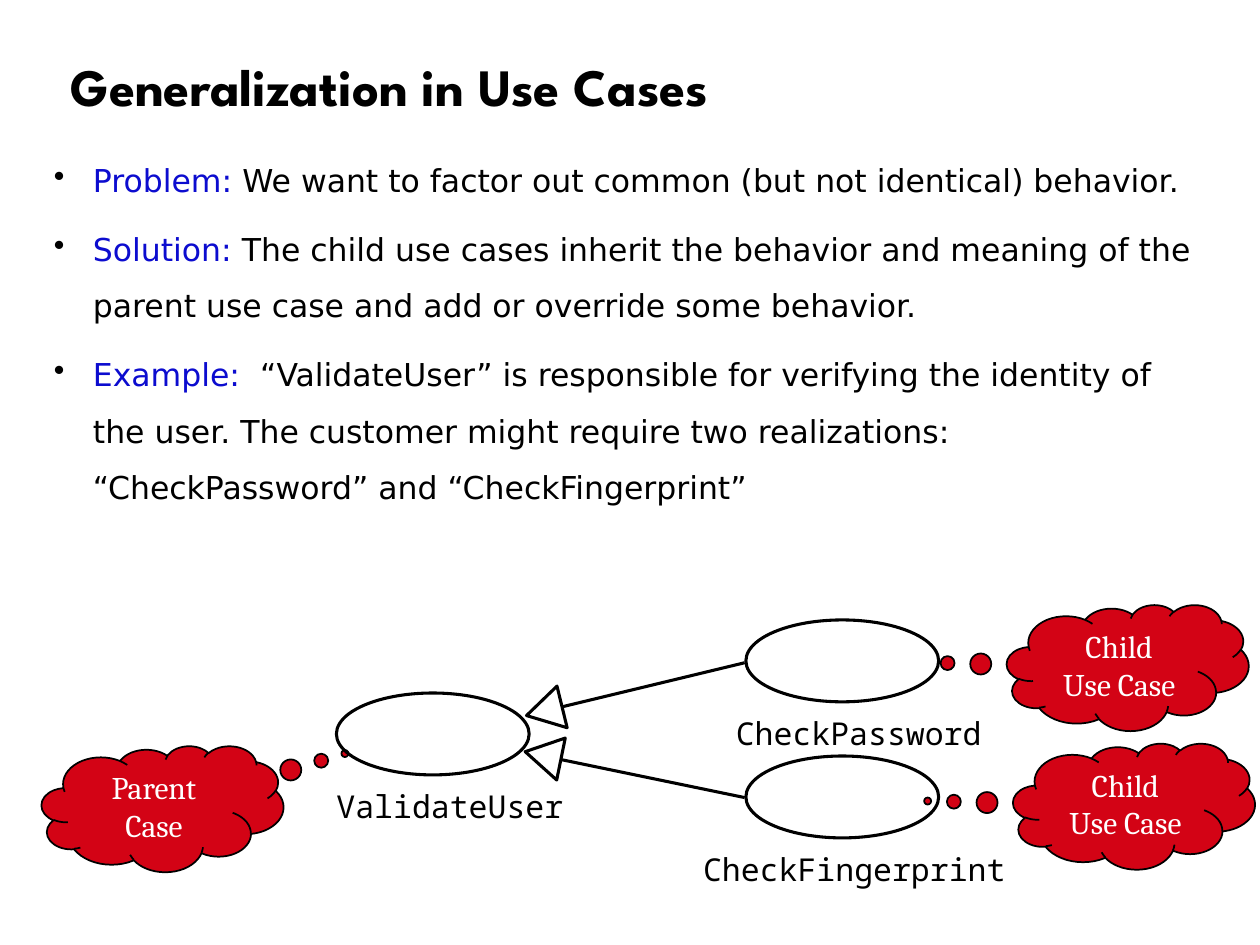
from lxml import etree
from pptx import Presentation
from pptx.dml.color import RGBColor
from pptx.enum.shapes import MSO_CONNECTOR, MSO_SHAPE
from pptx.enum.text import MSO_ANCHOR, MSO_AUTO_SIZE, PP_ALIGN
from pptx.oxml.ns import qn
from pptx.util import Inches, Pt

ELLIPSE, TRIANGLE, CLOUD = MSO_SHAPE.OVAL, MSO_SHAPE.ISOSCELES_TRIANGLE, MSO_SHAPE.CLOUD_CALLOUT
STRAIGHT = MSO_CONNECTOR.STRAIGHT
MIDDLE = MSO_ANCHOR.MIDDLE
LEFT, CENTER = PP_ALIGN.LEFT, PP_ALIGN.CENTER
NO_AUTOFIT = MSO_AUTO_SIZE.NONE

BLACK, WHITE, BLUE, RED = "000000", "FFFFFF", "0C0CCF", "D30315"
TITLE = {"name": "League Spartan", "size": Pt(30), "bold": True}
BODY = {"name": "DejaVu Sans", "size": Pt(18)}
LABEL = {"name": "Noto Sans Mono", "size": Pt(18)}
CALLOUT = {"name": "Cambria", "size": Pt(18)}


def add_run(paragraph, text, color, font_format):
    run = paragraph.add_run()
    run.text = text
    run.font.color.rgb = RGBColor.from_string(color)
    for name, value in font_format.items():
        setattr(run.font, name, value)


def add_outlined_shape(kind, left, top, width, height, fill, line_width):
    """Add a black-outlined shape; fill is a hex string or None for no fill."""
    shape = slide.shapes.add_shape(kind, Inches(left), Inches(top), Inches(width), Inches(height))
    shape.shadow.inherit = False
    if fill:
        shape.fill.solid()
        shape.fill.fore_color.rgb = RGBColor.from_string(fill)
    else:
        shape.fill.background()
    shape.line.color.rgb = RGBColor.from_string(BLACK)
    shape.line.width = Pt(line_width)
    return shape


presentation = Presentation()
presentation.slide_width = Inches(10)
presentation.slide_height = Inches(7.5)
slide = presentation.slides.add_slide(presentation.slide_layouts[5])

# Title
title = slide.shapes.title
title.left, title.top, title.width, title.height = map(Inches, (0.46, 0.24, 8.92, 0.94))
title.text_frame.auto_size = NO_AUTOFIT
title.text_frame.vertical_anchor = MIDDLE
paragraph = title.text_frame.paragraphs[0]
paragraph.alignment = LEFT
paragraph.line_spacing = 0.9
add_run(paragraph, "Generalization in Use Cases", BLACK, TITLE)

# Bullets
bullets = [
    ("Problem:", " We want to factor out common (but not identical) behavior."),
    ("Solution:", " The child use cases inherit the behavior and meaning of the parent use case "
                  "and add or override some behavior."),
    ("Example:", "  “ValidateUser” is responsible for verifying the identity of the user. "
                 "The customer might require two realizations: "
                 "“CheckPassword” and “CheckFingerprint”"),
]
body = slide.shapes.add_textbox(Inches(0.33), Inches(1.08), Inches(9.37), Inches(3.44))
body.text_frame.word_wrap = True
for index, (keyword, explanation) in enumerate(bullets):
    paragraph = body.text_frame.add_paragraph() if index else body.text_frame.paragraphs[0]
    paragraph.line_spacing = 1.5
    if index:
        paragraph.space_before = Pt(6.8)
    properties = paragraph._p.get_or_add_pPr()
    properties.set("marL", str(Inches(0.31)))
    properties.set("indent", str(-Inches(0.31)))
    bullet_color = etree.SubElement(properties, qn("a:buClr"))
    etree.SubElement(bullet_color, qn("a:srgbClr"), val=BLACK)
    etree.SubElement(properties, qn("a:buChar"), char="•")
    add_run(paragraph, keyword, BLUE, BODY)
    add_run(paragraph, explanation, BLACK, BODY)

# Clouds lie behind the use cases: left, top, pointer position, lines
clouds = [
    (0.33, 5.92, (0.754, -0.439), ("Parent", "Case")),
    (7.99, 4.8, (-0.853, -0.042), ("Child", "Use Case")),
    (8.04, 5.9, (-0.853, -0.042), ("Child", "Use Case")),
]
for left, top, pointer, lines in clouds:
    cloud = add_outlined_shape(CLOUD, left, top, 1.92, 1, RED, 1)
    cloud.adjustments[0], cloud.adjustments[1] = pointer
    frame = cloud.text_frame
    frame.word_wrap = False
    frame.vertical_anchor = MIDDLE
    for index, line in enumerate(lines):
        paragraph = frame.add_paragraph() if index else frame.paragraphs[0]
        paragraph.alignment = CENTER
        add_run(paragraph, line, WHITE, CALLOUT)

# Use cases: name, ellipse left and top, fill, label left and width
use_cases = [
    ("ValidateUser", 2.67, 5.5, None, 2.67, 1.81),
    ("CheckPassword", 5.92, 4.92, WHITE, 5.84, 1.96),
    ("CheckFingerprint", 5.92, 6, None, 5.58, 2.41),
]
for name, left, top, fill, label_left, label_width in use_cases:
    add_outlined_shape(ELLIPSE, left, top, 1.53, 0.65, fill, 1.75)
    label = slide.shapes.add_textbox(
        Inches(label_left), Inches(top + 0.75), Inches(label_width), Inches(0.3))
    frame = label.text_frame
    frame.word_wrap = False
    frame.margin_left = frame.margin_top = frame.margin_right = frame.margin_bottom = 0
    add_run(frame.paragraphs[0], name, BLACK, LABEL)

# Generalization arrows: triangle left, top and rotation, line start and end
generalizations = [
    (4.15, 5.5, 256.3, (4.46, 5.61), (5.91, 5.26)),
    (4.14, 5.85, 281.6, (4.46, 6.03), (5.91, 6.33)),
]
for left, top, rotation, start, end in generalizations:
    triangle = add_outlined_shape(TRIANGLE, left, top, 0.34, 0.29, WHITE, 1.75)
    triangle.rotation = rotation
    connector = slide.shapes.add_connector(STRAIGHT, *map(Inches, start + end))
    connector.line.color.rgb = RGBColor.from_string(BLACK)
    connector.line.width = Pt(1.75)
    etree.SubElement(connector._element.spPr, qn("a:effectLst"))

presentation.save("out.pptx")
